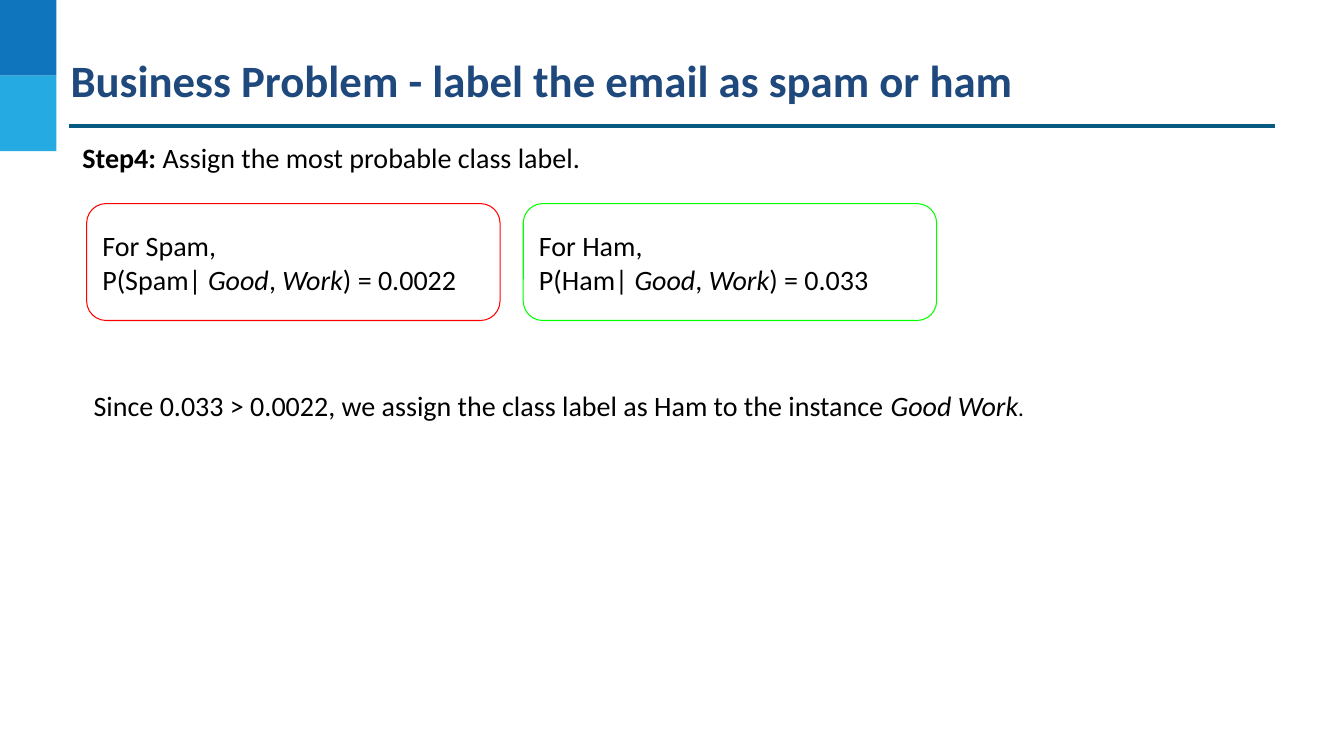
import pptx
import pptx.util
import pptx.dml.color
import pptx.enum.shapes
import pptx.enum.text
import pptx.oxml
import pptx.oxml.ns

Inches = pptx.util.Inches
Pt = pptx.util.Pt
SHAPES = pptx.enum.shapes.MSO_SHAPE
ANCHORS = pptx.enum.text.MSO_ANCHOR


def color(value):
    return pptx.dml.color.RGBColor.from_string(value)


def add_run(paragraph, text, bold=False, italic=False, size=20, font="Calibri", fill="000000"):
    run = paragraph.add_run()
    run.text = text
    run.font.name = font
    run.font.size = Pt(size)
    run.font.bold = bold
    run.font.italic = italic
    run.font.color.rgb = color(fill)


def set_frame(shape, inset, anchor):
    frame = shape.text_frame
    frame.word_wrap = True
    frame.vertical_anchor = anchor
    frame.margin_left = frame.margin_right = Inches(inset)
    frame.margin_top = frame.margin_bottom = Inches(inset)
    frame.paragraphs[0].alignment = pptx.enum.text.PP_ALIGN.LEFT
    return frame


def add_text(slide, left, top, width, height, inset=0.1):
    box = slide.shapes.add_textbox(Inches(left), Inches(top), Inches(width), Inches(height))
    return set_frame(box, inset, ANCHORS.TOP).paragraphs[0]


def add_corner_block(slide, top, fill):
    block = slide.shapes.add_shape(
        SHAPES.RECTANGLE, Inches(0), Inches(top), Inches(0.56), Inches(0.75))
    block.shadow.inherit = False
    block.fill.solid()
    block.fill.fore_color.rgb = color(fill)
    block.line.fill.background()


def add_title_rule(slide):
    rule = slide.shapes.add_connector(
        pptx.enum.shapes.MSO_CONNECTOR.STRAIGHT,
        Inches(0.68), Inches(1.25), Inches(12.65), Inches(1.25))
    rule.line.color.rgb = color("095A82")
    rule.line.width = Pt(2.25)
    properties = rule._element.spPr
    properties.append(pptx.oxml.parse_xml(
        "<a:effectLst %s/>" % pptx.oxml.ns.nsdecls("a")))


def add_class_card(slide, left, outline, label, probability):
    card = slide.shapes.add_shape(
        SHAPES.ROUNDED_RECTANGLE, Inches(left), Inches(2.02), Inches(4.1), Inches(1.16))
    card.adjustments[0] = 0.167
    card.shadow.inherit = False
    card.fill.background()
    card.line.color.rgb = color(outline)
    card.line.width = Pt(0.75)
    frame = set_frame(card, 0.1, ANCHORS.MIDDLE)
    add_run(frame.paragraphs[0], f"For {label},")
    formula = frame.add_paragraph()
    formula.alignment = pptx.enum.text.PP_ALIGN.LEFT
    add_run(formula, f"P({label}| ")
    add_run(formula, "Good", italic=True)
    add_run(formula, ", ")
    add_run(formula, "Work", italic=True)
    add_run(formula, f") = {probability}")


def main():
    presentation = pptx.Presentation()
    presentation.slide_width = Inches(13.33)
    presentation.slide_height = Inches(7.5)
    slide = presentation.slides.add_slide(presentation.slide_layouts[6])

    add_corner_block(slide, 0, "0F75BD")
    add_corner_block(slide, 0.75, "25AAE2")
    add_title_rule(slide)

    title = add_text(slide, 0.68, 0.5, 12.29, 0.83, inset=0.02)
    add_run(title, "Business Problem - label the email as spam or ham",
            bold=True, size=32, fill="1F497D")

    step = add_text(slide, 0.72, 1.29, 7.3, 0.54)
    add_run(step, "Step4:", bold=True)
    add_run(step, " Assign the most probable class label.")

    add_class_card(slide, 0.86, "FF0000", "Spam", "0.0022")
    add_class_card(slide, 5.19, "00FF00", "Ham", "0.033")

    conclusion = add_text(slide, 0.83, 3.75, 10.32, 0.54)
    add_run(conclusion, "Since 0.033 > 0.0022, we assign the class label as Ham to the instance ")
    add_run(conclusion, "Good Work", italic=True)
    add_run(conclusion, ".", size=16, font="Lato")

    presentation.save("out.pptx")


if __name__ == "__main__":
    main()
